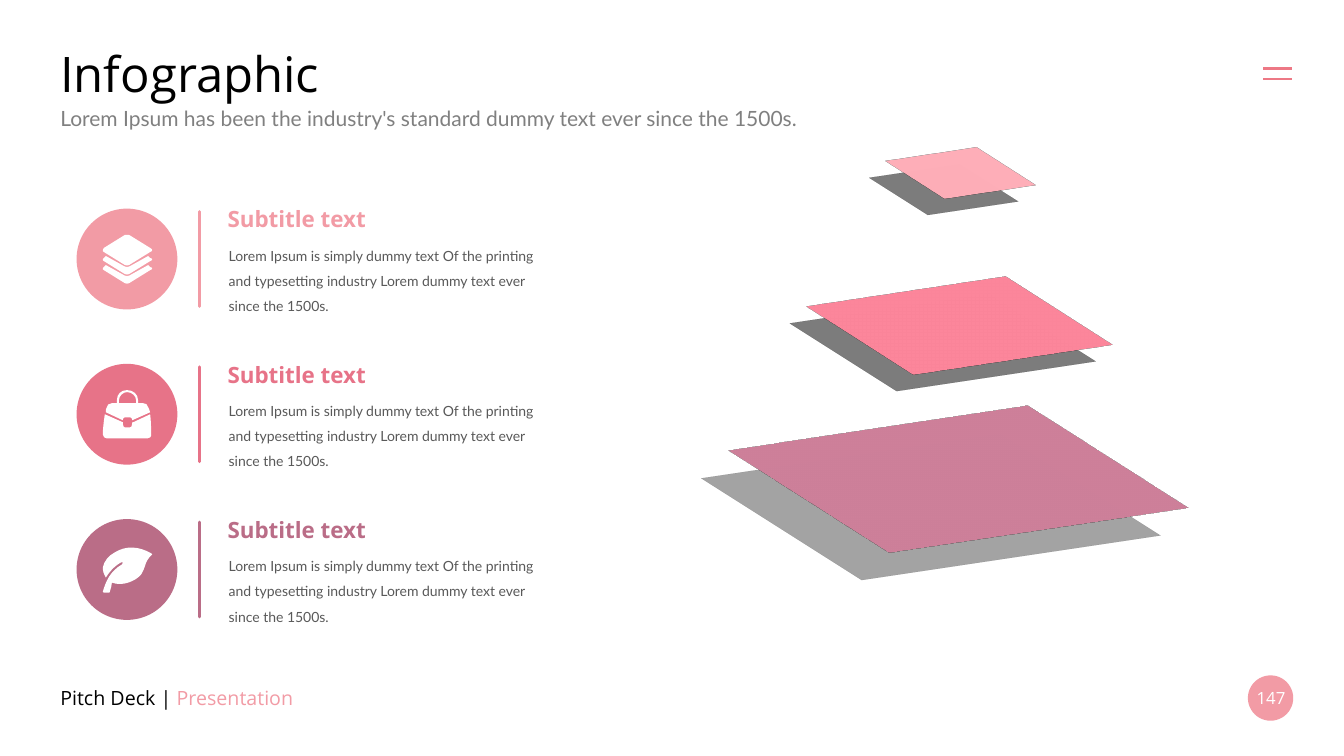
from dataclasses import dataclass

from lxml import etree
from pptx import Presentation
from pptx.dml.color import RGBColor
from pptx.enum.shapes import MSO_CONNECTOR, MSO_SHAPE
from pptx.enum.text import MSO_ANCHOR, MSO_AUTO_SIZE, PP_ALIGN
from pptx.oxml import parse_xml
from pptx.oxml.ns import nsdecls, qn
from pptx.util import Inches, Pt

ELLIPSE, RECTANGLE = MSO_SHAPE.OVAL, MSO_SHAPE.RECTANGLE
STRAIGHT = MSO_CONNECTOR.STRAIGHT
MIDDLE, TOP = MSO_ANCHOR.MIDDLE, MSO_ANCHOR.TOP
CENTER, LEFT = PP_ALIGN.CENTER, PP_ALIGN.LEFT


@dataclass(frozen=True)
class Theme:
    heading_font: str = "Open Sans"
    body_font: str = "Lato"
    title_size: float = 35
    subtitle_size: float = 16
    tagline_size: float = 15
    footer_size: float = 14
    number_size: float = 12
    body_size: float = 10
    black: str = "000000"
    white: str = "FFFFFF"
    gray: str = "808080"
    body: str = "595959"
    menu: str = "ED7885"
    pink: str = "F29BA5"
    rose: str = "E77388"
    plum: str = "BA6D87"


# Icon contours in hundredths of an inch from the corner of the circle:
# pairs are straight steps, sextuples are cubic curves.
CHEVRON = [(75, 59), (75, 60, 74, 61, 73, 61), (52, 74), (51, 74.5, 49, 74.5, 48, 74),
           (27, 61), (26, 61, 26, 60, 26, 59), (26, 59, 27, 58, 27, 58), (29, 56),
           (47, 66), (48, 67, 52, 67, 53, 66), (71, 56), (73, 58), (74, 58, 75, 59, 75, 59)]
TOP_LAYER = [(27, 43), (48, 56), (49, 56.5, 51, 56.5, 52, 56), (73, 43),
             (74, 43, 75, 42, 75, 41), (75, 40, 74, 40, 73, 39), (52, 26),
             (51, 26, 49, 26, 48, 26), (27, 39), (26, 40, 26, 40, 26, 41),
             (26, 42, 26, 43, 27, 43)]
MIDDLE_LAYER = [tuple(value - 9 * (i % 2) for i, value in enumerate(step)) for step in CHEVRON]
LAYERS_ICON = [CHEVRON, TOP_LAYER, MIDDLE_LAYER]
BAG_FLAP = [(46, 55), (46, 54, 47, 53, 48, 53), (53, 53), (54, 53, 55, 54, 55, 55),
            (55, 56), (73, 48), (72, 46, 72, 44, 71, 43), (70, 40, 69, 39, 66, 39),
            (61, 39), (61, 36), (61, 30, 56, 26, 50, 26), (44, 26, 40, 30, 40, 36),
            (40, 39), (35, 39), (32, 39, 30, 41, 30, 43), (29, 44, 29, 46, 29, 48), (46, 56)]
BAG_HANDLE_HOLE = [(42, 36), (42, 32, 46, 28, 50, 28), (55, 28, 59, 32, 59, 36),
                   (59, 39), (42, 39)]
BAG_BODY = [(73, 50), (56, 58), (55, 58), (55, 60), (55, 62, 54, 63, 53, 63), (48, 63),
            (47, 63, 46, 62, 46, 60), (46, 58), (28, 50), (27, 57, 26, 64, 26, 70),
            (26, 72, 28, 74, 30, 74), (70, 74), (73, 74, 74, 72, 74, 71),
            (74, 69, 74, 59, 73, 50)]
BAG_ICON = [BAG_FLAP, BAG_HANDLE_HOLE, BAG_BODY]
LEAF = [(74, 34), (62, 27, 49, 26, 38, 33), (32, 36, 27, 42, 26, 48),
        (26, 52, 27, 55, 29, 58), (32, 53, 37, 47, 44, 43), (45, 43, 45, 43, 46, 43),
        (46, 44, 46, 44, 45, 45), (33, 52, 29, 62, 26, 72), (27, 73), (30, 73),
        (33, 73, 33, 73, 33, 72), (34, 68, 35, 66, 35, 63), (45, 67, 58, 62, 64, 55),
        (66, 52, 67, 49, 68, 46), (69, 42, 71, 39, 74, 36), (74, 36, 75, 36, 75, 35),
        (75, 35, 74, 35, 74, 34)]
LEAF_ICON = [LEAF]


class SlideBuilder:
    def __init__(self, page, theme):
        self.page = page
        self.theme = theme

    def paint(self, shape, color):
        shape.shadow.inherit = False
        shape.fill.solid()
        shape.fill.fore_color.rgb = RGBColor.from_string(color)
        shape.line.fill.background()

    def text(self, at, spans, size, font, anchor=TOP, align=LEFT, bold=False, spacing=None):
        """Add one paragraph made of (text, color) spans."""
        box = self.page.shapes.add_textbox(*map(Inches, at))
        frame = box.text_frame
        frame.word_wrap = True
        frame.vertical_anchor = anchor
        frame.auto_size = MSO_AUTO_SIZE.SHAPE_TO_FIT_TEXT if anchor == TOP else MSO_AUTO_SIZE.NONE
        para = frame.paragraphs[0]
        para.alignment = align
        if spacing:
            para.line_spacing = Pt(spacing)
        para.font.name, para.font.size, para.font.bold = font, Pt(size), bold
        for words, color in spans:
            span = para.add_run()
            span.text = words
            span.font.color.rgb = RGBColor.from_string(color)

    def shape(self, kind, at, color):
        shape = self.page.shapes.add_shape(kind, *map(Inches, at))
        self.paint(shape, color)
        return shape

    def line(self, start, end, color, width, cap="flat"):
        line = self.page.shapes.add_connector(STRAIGHT, *map(Inches, start + end))
        line.line.color.rgb = RGBColor.from_string(color)
        line.line.width = Pt(width)
        line.line._get_or_add_ln().set("cap", cap)
        etree.SubElement(line._element.spPr, qn("a:effectLst"))

    def icon(self, left, top, contours):
        """Fill closed contours, bending the steps that carry control points."""
        origin = Inches(left), Inches(top)
        builder = None
        for contour in contours:
            start, *ends = [tuple(Inches(v / 100) for v in step[-2:]) for step in contour]
            if builder is None:
                builder = self.page.shapes.build_freeform(*start)
            else:
                builder.move_to(*start)
            builder.add_line_segments(ends, close=True)
        shape = builder.convert_to_shape(*origin)
        self.paint(shape, self.theme.white)
        shift = origin[0] - shape.left, origin[1] - shape.top
        steps = [step for contour in contours for step in contour[1:]]
        segments = list(shape._element.spPr.iter(qn("a:lnTo")))
        for segment, step in zip(segments, steps):
            if len(step) == 6:
                segment.tag = qn("a:cubicBezTo")
                segment.clear()
                for x, y in zip(step[::2], step[1::2]):
                    point = etree.SubElement(segment, qn("a:pt"))
                    point.set("x", str(Inches(x / 100) + shift[0]))
                    point.set("y", str(Inches(y / 100) + shift[1]))

    def plane(self, at, color, opacity, blur, distance):
        """Draw a square tilted in space that casts a shadow to the lower left."""
        properties = self.shape(RECTANGLE, at, color)._element.spPr
        effects = properties.find(qn("a:effectLst"))
        effects.append(parse_xml(
            f'<a:outerShdw {nsdecls("a")} blurRad="{Pt(blur)}" dist="{Pt(distance)}" '
            f'dir="8100000" algn="tr" rotWithShape="0"><a:srgbClr val="{self.theme.black}">'
            f'<a:alpha val="{opacity * 1000}"/></a:srgbClr></a:outerShdw>'))
        properties.append(parse_xml(
            f'<a:scene3d {nsdecls("a")}><a:camera prst="isometricOffAxis1Top"/>'
            '<a:lightRig rig="threePt" dir="t"/></a:scene3d>'))

    def item(self, top, color, icon):
        theme = self.theme
        body = ("Lorem Ipsum is simply dummy text Of the printing and typesetting "
                "industry Lorem dummy text ever since the 1500s.")
        self.text((2.17, top + 0.25, 3.29, 0.83), [(body, theme.body)],
                  theme.body_size, theme.body_font, spacing=18)
        self.text((2.16, top - 0.08, 3.32, 0.37), [("Subtitle text", color)],
                  theme.subtitle_size, theme.heading_font, bold=True)
        self.line((1.98, top + 0.03), (1.98, top + 0.97), color, 2, cap="rnd")
        self.shape(ELLIPSE, (0.76, top, 1, 1), color)
        self.icon(0.76, top, icon)


def main():
    deck = Presentation()
    deck.slide_width, deck.slide_height = Inches(40 / 3), Inches(7.5)
    theme = Theme()
    slide = SlideBuilder(deck.slides.add_slide(deck.slide_layouts[6]), theme)

    slide.shape(ELLIPSE, (12.38, 6.7, 0.45, 0.45), theme.pink)
    slide.text((0.5, 0.39, 12.33, 0.66), [("Infographic", theme.black)],
               theme.title_size, theme.heading_font, MIDDLE)
    slide.text((0.5, 6.72, 3.29, 0.4),
               [("Pitch Deck | ", theme.black), ("Presentation", theme.pink)],
               theme.footer_size, theme.heading_font, MIDDLE)
    slide.text((12.34, 6.81, 0.54, 0.22), [("147", theme.white)],
               theme.number_size, theme.heading_font, MIDDLE, CENTER)
    for y in (0.68, 0.78):
        slide.line((12.53, y), (12.82, y), theme.menu, 1.5)
    tagline = "Lorem Ipsum has been the industry's standard dummy text ever since the 1500s."
    slide.text((0.5, 1, 12.33, 0.35), [(tagline, theme.gray)],
               theme.tagline_size, theme.body_font)

    slide.plane((7.86, 2.94, 3.3, 3.63), theme.plum, 20, 15, 28)
    slide.plane((8.42, 2.02, 2.2, 2.42), theme.rose, 30, 10, 17)
    slide.plane((9.03, 1.05, 1, 1.33), theme.pink, 30, 10, 17)

    items = [(theme.pink, LAYERS_ICON), (theme.rose, BAG_ICON), (theme.plum, LEAF_ICON)]
    for row, (color, icon) in enumerate(items):
        slide.item(2.07 + 1.54 * row, color, icon)

    deck.save("out.pptx")


if __name__ == "__main__":
    main()
